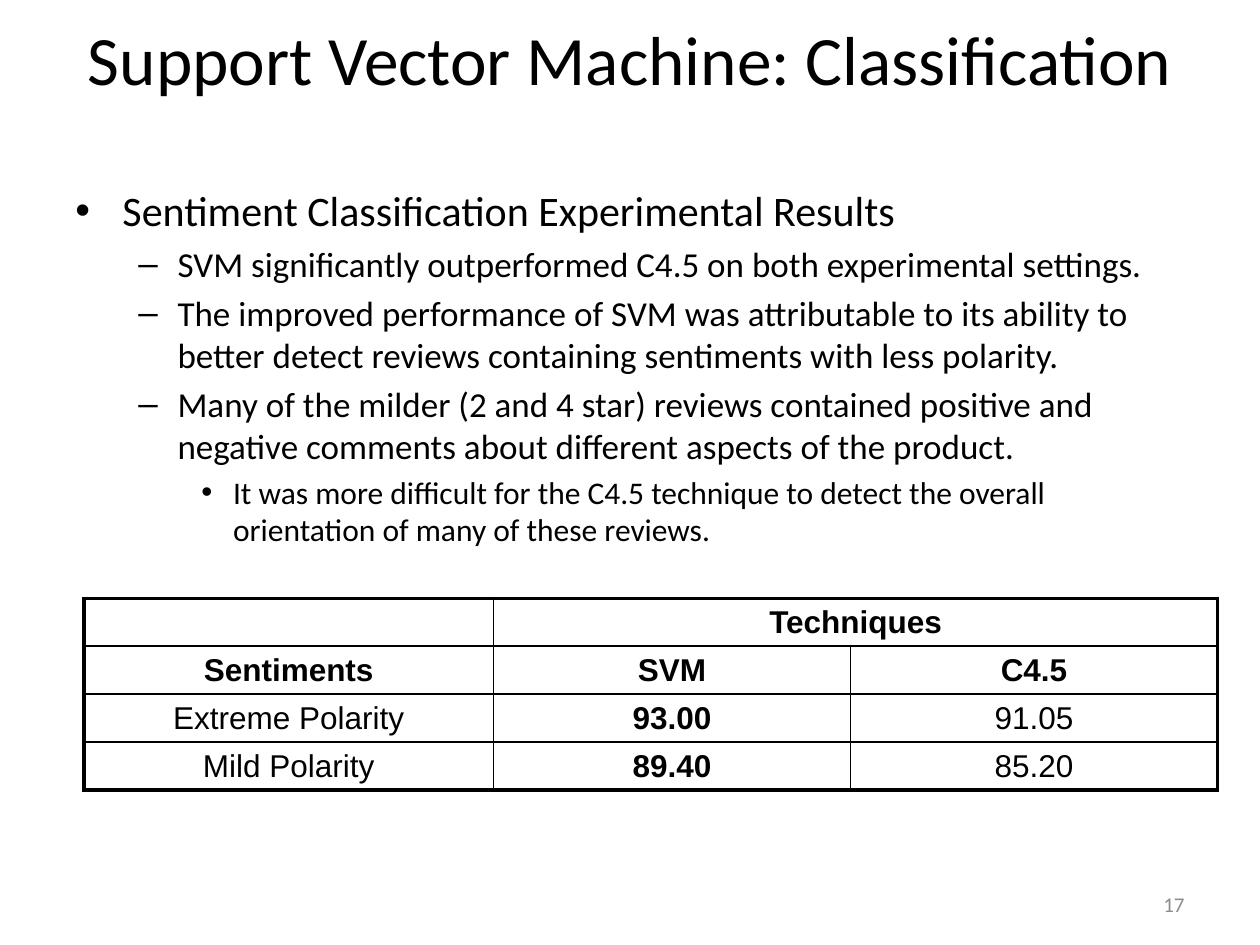
from dataclasses import dataclass

from lxml.etree import SubElement
from pptx import Presentation
from pptx.dml.color import RGBColor
from pptx.enum.text import MSO_ANCHOR, MSO_AUTO_SIZE, PP_ALIGN
from pptx.oxml.ns import qn
from pptx.util import Cm, Pt


@dataclass(frozen=True)
class Theme:
    ink: str = "000000"
    muted: str = "8C8C8C"
    paper: str = "FFFFFF"
    text_font: str = "Calibri"
    table_font: str = "Arial"
    title: float = 39.6
    levels: tuple = (24, 20, 18)
    table: float = 18
    number: float = 12
    outer_line: float = 2.25
    inner_line: float = 1


THEME = Theme()

LEVELS = [("•", 0.95, 0.95), ("–", 2.06, 0.79), ("•", 3.18, 0.64)]

BULLETS = [
    (0, "Sentiment Classification Experimental Results"),
    (1, "SVM significantly outperformed C4.5 on both experimental settings."),
    (1, "The improved performance of SVM was attributable to its ability to "
        "better detect reviews containing sentiments with less polarity."),
    (1, "Many of the milder (2 and 4 star) reviews contained positive and "
        "negative comments about different aspects of the product."),
    (2, "It was more difficult for the C4.5 technique to detect the overall "
        "orientation of many of these reviews."),
]

ROWS = [
    ("", "Techniques", ""),
    ("Sentiments", "SVM", "C4.5"),
    ("Extreme Polarity", "93.00", "91.05"),
    ("Mild Polarity", "89.40", "85.20"),
]
COL_SHARES = (8.26, 7.19, 7.41)


def write(p, text, size, font=THEME.text_font, color=THEME.ink, bold=False,
          align=PP_ALIGN.LEFT, before=0):
    p.alignment = align
    p.space_before = Pt(before)
    r = p.add_run()
    r.text = text
    r.font.name = font
    r.font.size = Pt(size)
    r.font.bold = bold
    r.font.color.rgb = RGBColor.from_string(color)


def set_bullet(p, level):
    char, indent, hang = LEVELS[level]
    p.level = level
    pPr = p._p.get_or_add_pPr()
    pPr.set("marL", str(Cm(indent)))
    pPr.set("indent", str(-Cm(hang)))
    SubElement(pPr, qn("a:buFont"), typeface="Arial")
    SubElement(pPr, qn("a:buChar"), char=char)


def set_borders(cell, **widths):
    tcPr = cell._tc.get_or_add_tcPr()
    for side in "LRTB":
        ln = SubElement(tcPr, qn(f"a:ln{side}"), w=str(Pt(widths[side])))
        fill = SubElement(ln, qn("a:solidFill"))
        SubElement(fill, qn("a:srgbClr"), val=THEME.ink)


def add_title(s, x, y, w, h):
    sp = s.shapes.title
    sp.left, sp.top, sp.width, sp.height = Cm(x), Cm(y), Cm(w), Cm(h)
    tf = sp.text_frame
    tf.auto_size = MSO_AUTO_SIZE.NONE
    tf.vertical_anchor = MSO_ANCHOR.MIDDLE
    write(tf.paragraphs[0], "Support Vector Machine: Classification",
          THEME.title, align=PP_ALIGN.CENTER)


def add_text_box(s, x, y, w, h, anchor=MSO_ANCHOR.TOP):
    tf = s.shapes.add_textbox(Cm(x), Cm(y), Cm(w), Cm(h)).text_frame
    tf.word_wrap = True
    tf.vertical_anchor = anchor
    return tf


def add_bullets(s, x, y, w, h):
    tf = add_text_box(s, x, y, w, h)
    for i, (level, text) in enumerate(BULLETS):
        p = tf.add_paragraph() if i else tf.paragraphs[0]
        size = THEME.levels[level]
        set_bullet(p, level)
        write(p, text, size, before=0.2 * size if i else 0)


def add_results(s, x, y, w, h):
    n_rows, n_cols = len(ROWS), len(COL_SHARES)
    table = s.shapes.add_table(n_rows, n_cols, Cm(x), Cm(y), Cm(w), Cm(h)).table
    table.first_row = table.horz_banding = False
    for col, share in zip(table.columns, COL_SHARES):
        col.width = Cm(w * share / sum(COL_SHARES))
    for row in table.rows:
        row.height = Cm(h / n_rows)
    table.cell(0, 1).merge(table.cell(0, 2))

    outer, inner = THEME.outer_line, THEME.inner_line
    for i, row in enumerate(ROWS):
        for j, text in enumerate(row):
            cell = table.cell(i, j)
            cell.margin_top = cell.margin_bottom = Cm(0.1)
            cell.vertical_anchor = MSO_ANCHOR.MIDDLE
            last_col = j == n_cols - 1 or cell.is_merge_origin
            set_borders(cell,
                        L=inner if j else outer,
                        R=outer if last_col else inner,
                        T=inner if i else outer,
                        B=outer if i == n_rows - 1 else inner)
            cell.fill.solid()
            cell.fill.fore_color.rgb = RGBColor.from_string(THEME.paper)
            if text:
                write(cell.text_frame.paragraphs[0], text, THEME.table,
                      font=THEME.table_font, bold=i < 2 or j == 1,
                      align=PP_ALIGN.CENTER)


def add_number(s, x, y, w, h):
    tf = add_text_box(s, x, y, w, h, anchor=MSO_ANCHOR.MIDDLE)
    write(tf.paragraphs[0], "17", THEME.number, color=THEME.muted,
          align=PP_ALIGN.RIGHT)


def main():
    prs = Presentation()
    prs.slide_width, prs.slide_height = Cm(25.4), Cm(19.05)
    s = prs.slides.add_slide(prs.slide_layouts[5])
    add_number(s, 18.21, 17.57, 5.92, 1.32)
    add_title(s, 1.27, 0, 22.86, 2.33)
    add_bullets(s, 1.27, 3.6, 22.86, 9.74)
    add_results(s, 1.69, 12.06, 22.86, 3.87)
    prs.save("out.pptx")


if __name__ == "__main__":
    main()
